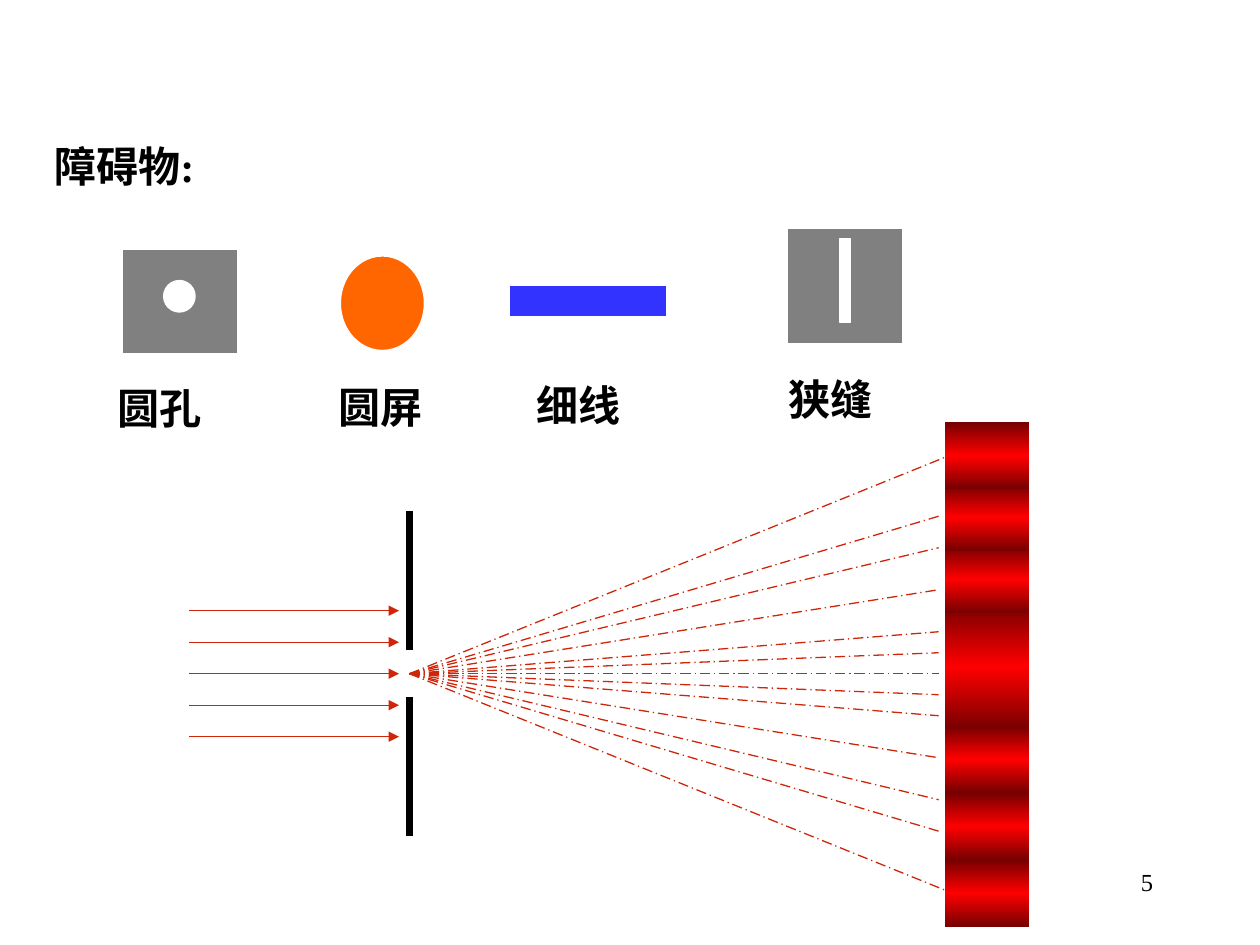
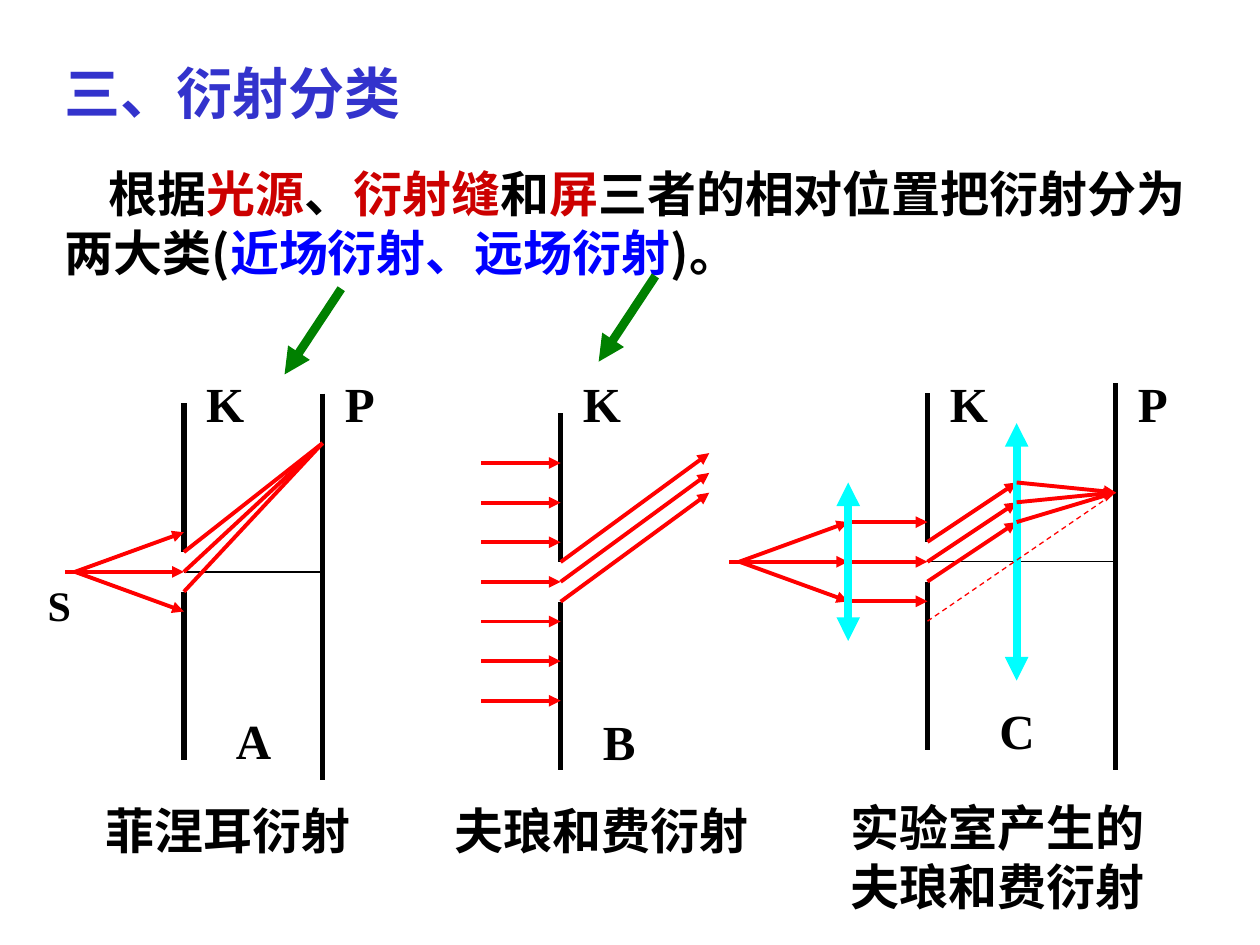
from copy import deepcopy
from functools import partial

from lxml import etree
from pptx import Presentation
from pptx.dml.color import RGBColor
from pptx.enum.dml import MSO_LINE_DASH_STYLE as Dash
from pptx.enum.shapes import MSO_CONNECTOR, MSO_SHAPE as Kind
from pptx.enum.text import MSO_ANCHOR as Anchor, PP_ALIGN as Align
from pptx.oxml.ns import qn
from pptx.util import Pt

BLACK = RGBColor(0x00, 0x00, 0x00)
WHITE = RGBColor(0xFF, 0xFF, 0xFF)
GRAY = RGBColor(0x80, 0x80, 0x80)
ORANGE = RGBColor(0xFF, 0x66, 0x00)
AZURE = RGBColor(0x33, 0x33, 0xFF)
BEAM = RGBColor(0xCF, 0x25, 0x09)
DARK = RGBColor(0x76, 0x00, 0x00)
RED = RGBColor(0xFF, 0x00, 0x00)
CYAN = RGBColor(0x00, 0xFF, 0xFF)
GREEN = RGBColor(0x00, 0x80, 0x00)
TITLE = RGBColor(0x33, 0x33, 0xCC)
KEY = RGBColor(0xCC, 0x00, 0x00)
BLUE = RGBColor(0x00, 0x00, 0xFF)

SERIF = "Times New Roman"
SANS = "Noto Sans CJK SC"
UNIT = 5.66  # grid step of the three ray diagrams


# Shared helpers
def shade(run):
    """Give a run a soft gray drop shadow."""
    glow = etree.Element(qn("a:effectLst"))
    drop = etree.SubElement(glow, qn("a:outerShdw"), dist="25400", dir="2700000")
    etree.SubElement(drop, qn("a:srgbClr"), val=str(GRAY))
    run.font._element.find(qn("a:latin")).addprevious(glow)


def text(slide, words, x, y, w, h, size=24, font=SERIF, color=BLACK, bold=True,
         align=Align.LEFT, anchor=Anchor.TOP, wrap=True, indent=0, shadow=False):
    """Words is a string, or a list of (string, colour) runs; a newline starts a paragraph."""
    frame = slide.shapes.add_textbox(Pt(x), Pt(y), Pt(w), Pt(h)).text_frame
    frame.word_wrap = wrap
    frame.vertical_anchor = anchor
    lines = [[(s, color)] for s in words.split("\n")] if isinstance(words, str) else [words]
    for i, line in enumerate(lines):
        para = frame.add_paragraph() if i else frame.paragraphs[0]
        para.alignment = align
        if indent:
            para._p.get_or_add_pPr().set("indent", str(Pt(indent)))
        for part, tint in line:
            run = para.add_run()
            run.text = part
            run.font.size, run.font.bold, run.font.name = Pt(size), bold, font
            run.font.color.rgb = tint
            latin = run.font._element.find(qn("a:latin"))
            latin.addnext(etree.Element(qn("a:ea"), typeface=SANS))
            if shadow:
                shade(run)


def line(slide, x1, y1, x2, y2, color=BLACK, width=3, dash=None, head=False, tail=False):
    wire = slide.shapes.add_connector(MSO_CONNECTOR.STRAIGHT, Pt(x1), Pt(y1), Pt(x2), Pt(y2))
    wire.line.color.rgb = color
    wire.line.width = Pt(width)
    if dash:
        wire.line.dash_style = dash
    stroke = wire.line._get_or_add_ln()
    for tag, on in (("a:headEnd", head), ("a:tailEnd", tail)):
        if on:
            etree.SubElement(stroke, qn(tag), type="triangle")
    etree.SubElement(wire._element.spPr, qn("a:effectLst"))


def shape(slide, kind, x, y, w, h, fill=None, edge=None):
    item = slide.shapes.add_shape(kind, Pt(x), Pt(y), Pt(w), Pt(h))
    item.shadow.inherit = False
    if fill is not None:
        item.fill.solid()
        item.fill.fore_color.rgb = fill
    if edge is None:
        item.line.fill.background()
    else:
        item.line.color.rgb = edge
        item.line.width = Pt(0.75)
    return item


# Slide 1: obstacles and the single slit
def samples(slide, x, y):
    draw = partial(shape, slide, edge=WHITE)
    for kind, dx, dy, w, h, fill in (
        (Kind.RECTANGLE, 10, 12, 66, 60, GRAY),
        (Kind.OVAL, 33.5, 30, 18, 18, WHITE),
        (Kind.OVAL, 134.5, 16, 48, 54, ORANGE),
        (Kind.RECTANGLE, 231, 32.5, 90, 18, AZURE),
        (Kind.RECTANGLE, 390, 0, 66, 66, GRAY),
        (Kind.RECTANGLE, 420, 6, 6, 48, WHITE),
    ):
        draw(kind, x + dx, y + dy, w, h, fill)
    for name, dx, dy in (("圆孔", 0, 85), ("圆屏", 126.5, 84),
                         ("细线", 239.5, 83), ("狭缝", 383.5, 79.5)):
        text(slide, name, x + dx, y + dy, 88.5, 36)


def band(slide, x, y, w, h):
    """One fringe, dark at both edges and bright in the middle."""
    fill = shape(slide, Kind.RECTANGLE, x, y, w, h).fill
    fill.gradient()
    fill.gradient_angle = 90
    first, last = fill.gradient_stops
    first.color.rgb, first.position = DARK, 0
    last.color.rgb, last.position = RED, 0.5
    end = deepcopy(first._gs)
    end.set("pos", "100000")
    last._gs.addnext(end)


def bench(slide, x, axis):
    slit = x + 126
    for side in (-1, 1):
        line(slide, slit, axis + side * 13.3, slit, axis + side * 93, width=4.5)
    for step in range(-2, 3):
        y = axis + 18 * step
        line(slide, x, y, x + 120, y, color=BEAM, width=0.75, tail=True)

    # Fan of rays behind the slit
    rise = [12, 24, 48, 72, 90, 126]
    for dy in [0] + rise + [-r for r in rise]:
        end = x + (437.8 if abs(dy) == 126 else 428.4)
        line(slide, slit, axis, end, axis + dy, color=BEAM, width=0.75, dash=Dash.LONG_DASH_DOT)

    # Fringes on the screen
    for dy, h in ((-40, 72), (-73.2, 38.6), (-108.5, 38.4), (68, 38.6),
                  (29.7, 38.3), (-143.7, 38.3), (106.2, 38.3)):
        band(slide, x + 432, axis + dy, 48, h)


def first(slide):
    text(slide, "5", 516, 492, 150, 36, size=14, bold=False, align=Align.RIGHT)
    bench(slide, 108, 385)
    samples(slide, 60, 130.3)
    text(slide, "障碍物:", 24, 76.5, 285, 36)


# Slide 2: three ray diagrams, on a grid centred on the slit
def grid(slide, x, y):
    def ray(x1, y1, x2, y2, color=RED, width=2.25, **style):
        line(slide, x + x1 * UNIT, y + y1 * UNIT, x + x2 * UNIT, y + y2 * UNIT,
             color=color, width=width, **style)
    return ray, partial(ray, tail=True), partial(ray, color=BLACK, width=3)


def label(slide, word, x, y):
    text(slide, word, x, y, 28, 34, size=28, align=Align.CENTER, anchor=Anchor.MIDDLE, wrap=False)


def mask(slide, wall, x, screen=None):
    """Slit K, with the optional screen P and the optical axis."""
    wall(0, -17, 0, -2)
    wall(0, 2, 0, 19)
    label(slide, "K", x + UNIT, 213)
    if screen:
        wall(screen, -18, screen, 21)
        wall(0, 0, screen, 0, width=0.75)
        label(slide, "P", x + (screen + 1) * UNIT, 213)


def source(arrow, x, reach):
    arrow(x - 1, 0, x + reach, 0)
    for y in (-4, 4):
        arrow(x, 0, x + reach, y)


def near(slide, x, y):
    ray, arrow, wall = grid(slide, x, y)
    mask(slide, wall, x, 14)
    source(arrow, -11, 11)
    for start in (-2, 0, 2):
        ray(0, start, 14, -13)
    label(slide, "A", x + 4 * UNIT, y + 14 * UNIT)
    text(slide, "S", x - 85, y + 1, 37, 36)


def far(slide, x, y):
    ray, arrow, wall = grid(slide, x, y)
    mask(slide, wall, x)
    for level in range(-12, 13, 4):
        arrow(-8, level, 0, level)
    for start in (-2, 0, 2):
        arrow(0, start, 15, start - 11)
    label(slide, "B", x + 3 * UNIT, y + 13 * UNIT)


def lab(slide, x, y):
    ray, arrow, wall = grid(slide, x, y)
    lens = partial(arrow, color=CYAN, width=4.5, head=True)
    mask(slide, wall, x, 19)
    source(arrow, -19, 11)
    for level in (-4, 0, 4):
        arrow(-8, level, 0, level)
    lens(-8, -8, -8, 8)
    for start in (-2, 0, 2):
        arrow(0, start, 9, start - 6)
    lens(9, -14, 9, 12)
    ray(0, 6, 19, -7, width=0.75, dash=Dash.DASH)
    for start in (-8, -6, -4):
        arrow(9, start, 19, -7)
    label(slide, "C", x + 6 * UNIT, y + 14 * UNIT)


def second(slide):
    near(slide, 105.1, 326.8)
    far(slide, 320.4, 332.5)
    lab(slide, 530, 321)
    for name, x, y, w, h in (("菲涅耳衍射", 42.5, 451.5, 175.5, 45),
                             ("夫琅和费衍射", 247, 451.5, 193, 45),
                             ("实验室产生的\n夫琅和费衍射", 474, 457, 192, 65)):
        text(slide, name, x, y, w, h, size=28, font=SANS, align=Align.CENTER,
             anchor=Anchor.MIDDLE, wrap=False)

    # Title and definition
    text(slide, "三、衍射分类", 30, 30, 264, 46, size=32, color=TITLE, shadow=True)
    words = [("根据", BLACK), ("光源", KEY), ("、", BLACK), ("衍射缝", KEY),
             ("和", BLACK), ("屏", KEY), ("三者的相对位置把衍射分为两大类(", BLACK),
             ("近场衍射、远场衍射", BLUE), (")。", BLACK)]
    text(slide, words, 30, 90, 666, 75, size=28, font=SANS, indent=25.2)

    # Pointers from the two kinds to their diagrams
    for x, y in ((195, 165), (374.5, 157.7)):
        line(slide, x, y, x - 32.4, y + 49, color=GREEN, width=5, tail=True)


def main():
    deck = Presentation()
    deck.slide_width, deck.slide_height = Pt(720), Pt(540)
    for build in (first, second):
        build(deck.slides.add_slide(deck.slide_layouts[6]))
    deck.save("out.pptx")


if __name__ == "__main__":
    main()
